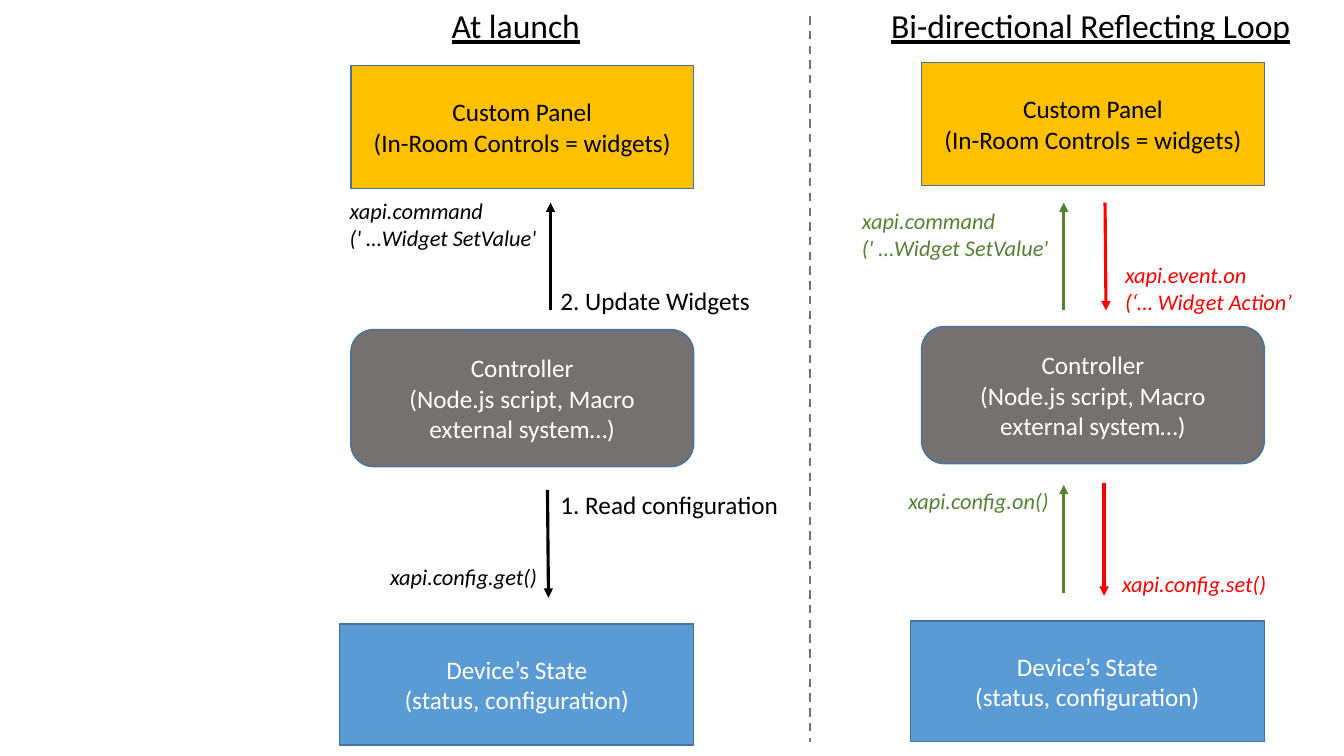
"""Build a slide comparing the launch sequence with the bi-directional reflecting loop."""
from lxml.etree import SubElement
from pptx import Presentation
from pptx.dml.color import RGBColor
from pptx.enum.dml import MSO_LINE
from pptx.enum.shapes import MSO_CONNECTOR, MSO_SHAPE
from pptx.enum.text import MSO_ANCHOR, MSO_AUTO_SIZE, PP_ALIGN
from pptx.oxml.ns import qn
from pptx.util import Inches, Pt

BLACK = RGBColor(0x00, 0x00, 0x00)
WHITE = RGBColor(0xFF, 0xFF, 0xFF)
AMBER = RGBColor(0xFF, 0xC0, 0x00)
GREY = RGBColor(0x76, 0x71, 0x71)
BLUE = RGBColor(0x5B, 0x9B, 0xD5)
OUTLINE = RGBColor(0x43, 0x73, 0x9E)
GREEN = RGBColor(0x54, 0x82, 0x35)
RED = RGBColor(0xFF, 0x00, 0x00)

deck = Presentation()
deck.slide_width, deck.slide_height = Inches(13.33), Inches(7.5)
page = deck.slides.add_slide(deck.slide_layouts[6])
COLUMN = deck.slide_width / 13.33
ROW = deck.slide_height / 7.5


def place(*lengths):
    """Turn alternating columns and rows into slide lengths."""
    return [round(length * (ROW if index % 2 else COLUMN)) for index, length in enumerate(lengths)]


def add_line(shapes, ends, color, width):
    """Draw a straight line without a shadow."""
    line = shapes.add_connector(MSO_CONNECTOR.STRAIGHT, *place(*ends))
    line.line.color.rgb = color
    line.line.width = Pt(width)
    SubElement(line._element.spPr, qn("a:effectLst"))
    return line


BOXES = [
    (0.11, 0.65, 3.4, 1.22, MSO_SHAPE.RECTANGLE, AMBER, BLACK,
     "Custom Panel\n(In-Room Controls = widgets)"),
    (0.11, 3.27, 3.4, 1.36, MSO_SHAPE.ROUNDED_RECTANGLE, GREY, WHITE,
     "Controller\n(Node.js script, Macro external system…)"),
    (0, 6.19, 3.51, 1.2, MSO_SHAPE.RECTANGLE, BLUE, WHITE,
     "Device’s State\n(status, configuration)"),
]

LAUNCH_ARROWS = [
    (5.46, 3.08, 5.46, 2.01, BLACK),
    (5.43, 4.86, 5.44, 5.93, BLACK),
]
LAUNCH_LABELS = [
    (5.46, 4.81, 2.39, 0.4, 18, BLACK, "1. Read configuration"),
    (3.77, 5.54, 1.68, 0.37, 16, BLACK, "xapi.config.get()"),
    (5.46, 2.78, 2.1, 0.4, 18, BLACK, "2. Update Widgets"),
    (3.37, 1.91, 2.08, 0.64, 16, BLACK, "xapi.command\n(' …Widget SetValue'"),
    (4.38, 0, 1.49, 0.5, 24, BLACK, "At launch"),
]
LOOP_ARROWS = [
    (10.55, 3.08, 10.55, 2.01, GREEN),
    (10.96, 2.01, 10.97, 3.08, RED),
    (10.95, 4.79, 10.95, 5.91, RED),
    (10.55, 5.88, 10.55, 4.81, GREEN),
]
LOOP_LABELS = [
    (8.74, 0, 4.2, 0.5, 24, BLACK, "Bi-directional Reflecting Loop"),
    (8.91, 4.78, 1.61, 0.37, 16, GREEN, "xapi.config.on()"),
    (11.03, 5.61, 1.65, 0.37, 16, RED, "xapi.config.set()"),
    (8.45, 2.01, 2.08, 0.64, 16, GREEN, "xapi.command\n(' …Widget SetValue'"),
    (11.06, 2.54, 1.88, 0.64, 16, RED, "xapi.event.on\n(‘… Widget Action’"),
]
PANELS = [
    (3.37, 0, LAUNCH_ARROWS, LAUNCH_LABELS),
    (9.03, -0.03, LOOP_ARROWS, LOOP_LABELS),
]

for panel_left, panel_shift, arrows, labels in PANELS:
    shapes = page.shapes.add_group_shape().shapes

    for left, top, width, height, outline, fill, ink, text in BOXES:
        box = shapes.add_shape(outline, *place(panel_left + left, panel_shift + top, width, height))
        box.shadow.inherit = False
        box.fill.solid()
        box.fill.fore_color.rgb = fill
        box.line.color.rgb = OUTLINE
        box.line.width = Pt(1)
        frame = box.text_frame
        frame.text = text
        frame.vertical_anchor = MSO_ANCHOR.MIDDLE
        for para in frame.paragraphs:
            para.alignment = PP_ALIGN.CENTER
            for span in para.runs:
                span.font.name, span.font.size = "Calibri", Pt(18)
                span.font.color.rgb = ink

    for *ends, color in arrows:
        arrow = add_line(shapes, ends, color, 2.25)
        SubElement(arrow.line._get_or_add_ln(), qn("a:tailEnd"), type="triangle")

    for left, top, width, height, size, color, text in labels:
        label = shapes.add_textbox(*place(left, top, width, height))
        frame = label.text_frame
        frame.word_wrap = False
        frame.auto_size = MSO_AUTO_SIZE.SHAPE_TO_FIT_TEXT
        para = frame.paragraphs[0]
        para.text = text
        for span in para.runs:
            span.font.name, span.font.size = "Calibri", Pt(size)
            span.font.color.rgb = color
            if size == 16:
                span.font.italic = True
            if size == 24:
                span.font.underline = True

divider = add_line(page.shapes, (8.03, 0.16, 8.03, 7.36), GREY, 1.5)
divider.line.dash_style = MSO_LINE.DASH

deck.save("out.pptx")
